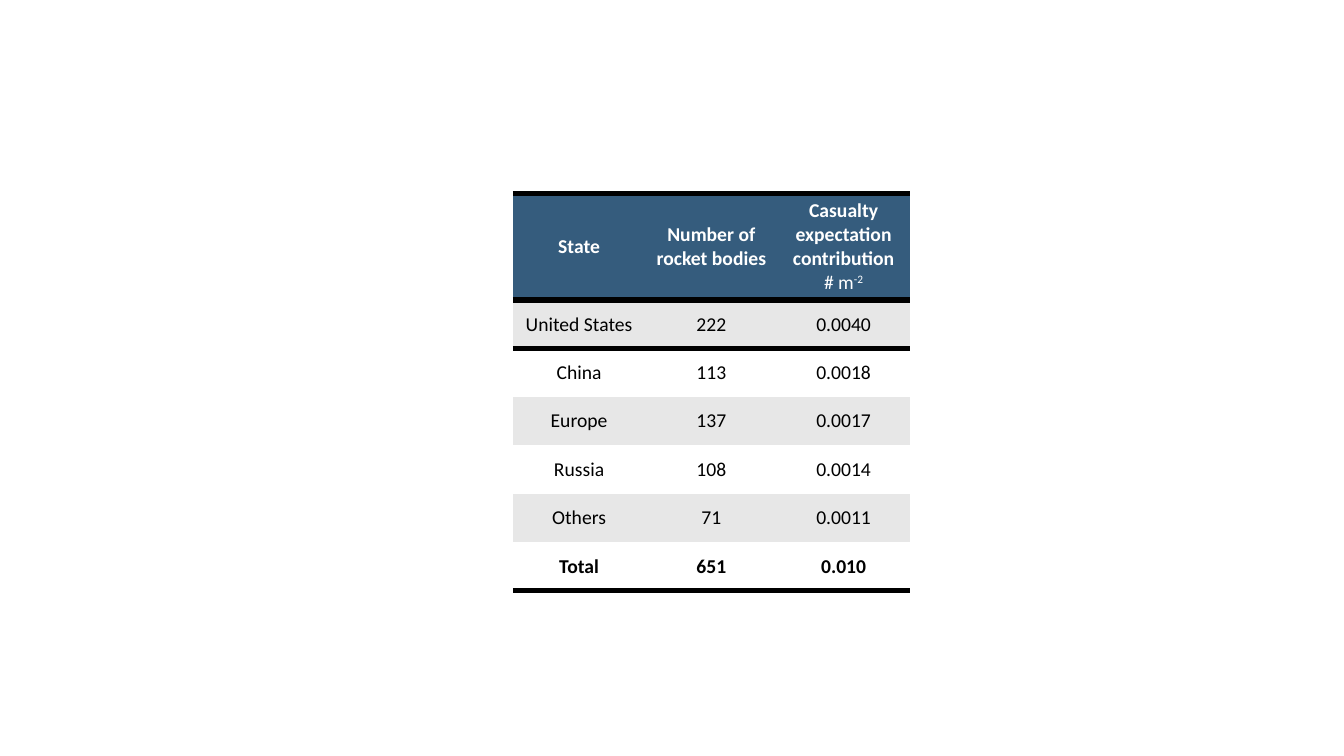
from lxml import etree
from pptx import Presentation
from pptx.dml.color import RGBColor
from pptx.enum import text
from pptx.oxml import ns
from pptx.util import Pt

BLUE = RGBColor(0x35, 0x5C, 0x7D)
GREY = RGBColor(0xE7, 0xE7, 0xE7)
WHITE = RGBColor(0xFF, 0xFF, 0xFF)
BLACK = RGBColor(0, 0, 0)

# Each run is (text, bold, baseline shift in thousandths of a percent).
HEADER = [
    [("State", True, 0)],
    [("Number of rocket bodies", True, 0)],
    [("Casualty expectation contribution ", True, 0),
     ("# m", False, 0), ("-2", False, 30000)],
]
STATES = [
    ("United States", "222", "0.0040"),
    ("China", "113", "0.0018"),
    ("Europe", "137", "0.0017"),
    ("Russia", "108", "0.0014"),
    ("Others", "71", "0.0011"),
]
TOTAL = ("Total", "651", "0.010")


class SlideBuilder:
    """Holds the table style and the current slide."""

    font, size, rule = "Calibri", Pt(14), Pt(4.5)

    def __init__(self, slide):
        """Keep the slide to draw on."""
        self.slide = slide

    def table(self, left, top, col_width, heights, rows, ruled):
        """Add a table with heavy rules at the given row boundaries."""
        n_cols = len(rows[0])
        frame = self.slide.shapes.add_table(
            len(rows), n_cols, left, top, col_width * n_cols, sum(heights))
        table = frame.table
        for col in table.columns:
            col.width = col_width
        for i, (runs_by_col, height) in enumerate(zip(rows, heights)):
            table.rows[i].height = height
            fill = BLUE if i == 0 else GREY if i % 2 else WHITE
            color = WHITE if i == 0 else BLACK
            for j, runs in enumerate(runs_by_col):
                cell = table.cell(i, j)
                self.cell(cell, runs, fill, color)
                self.borders(cell, i in ruled, i + 1 in ruled)

    def cell(self, cell, runs, fill, color):
        """Fill a cell and write its centred runs."""
        cell.fill.solid()
        cell.fill.fore_color.rgb = fill
        cell.vertical_anchor = text.MSO_ANCHOR.MIDDLE
        p = cell.text_frame.paragraphs[0]
        p.alignment = text.PP_ALIGN.CENTER
        for words, bold, baseline in runs:
            r = p.add_run()
            r.text = words
            r.font.name, r.font.size, r.font.bold = self.font, self.size, bold
            r.font.color.rgb = color
            if baseline:
                r.font._element.set("baseline", str(baseline))

    def borders(self, cell, above, below):
        """Set the four cell edges, ruling only those asked for."""
        tc_pr = cell._tc.get_or_add_tcPr()
        edges = [("lnL", False), ("lnR", False), ("lnT", above), ("lnB", below)]
        for i, (tag, ruled) in enumerate(edges):
            ln = etree.Element(ns.qn("a:" + tag))
            if ruled:
                ln.set("w", str(self.rule))
                solid = etree.SubElement(ln, ns.qn("a:solidFill"))
                etree.SubElement(solid, ns.qn("a:srgbClr"), val=str(BLACK))
            else:
                etree.SubElement(ln, ns.qn("a:noFill"))
            tc_pr.insert(i, ln)


def plain_row(values, bold=False):
    """Turn plain values into single-run cells."""
    return [[(value, bold, 0)] for value in values]


def main():
    """Build the slide and save it."""
    prs = Presentation()
    prs.slide_width, prs.slide_height = Pt(960), Pt(540)
    s = SlideBuilder(prs.slides.add_slide(prs.slide_layouts[6]))
    rows = [HEADER, *map(plain_row, STATES), plain_row(TOTAL, bold=True)]
    heights = [Pt(76.2)] + [Pt(34.6)] * (len(rows) - 1)
    s.table(Pt(366.4), Pt(138.2), Pt(94.5), heights, rows,
            ruled={0, 1, 2, len(rows)})
    prs.save("out.pptx")


main()
